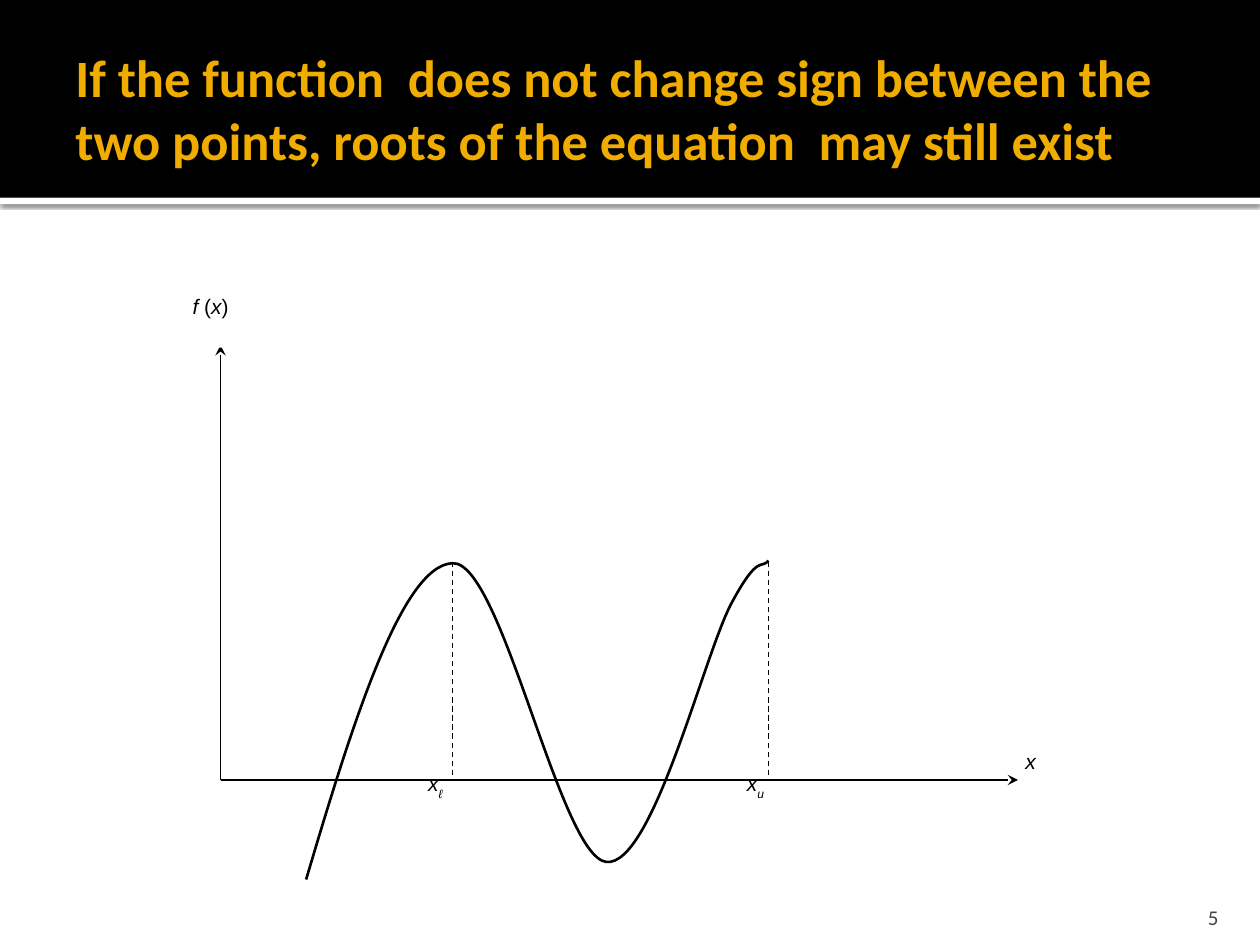
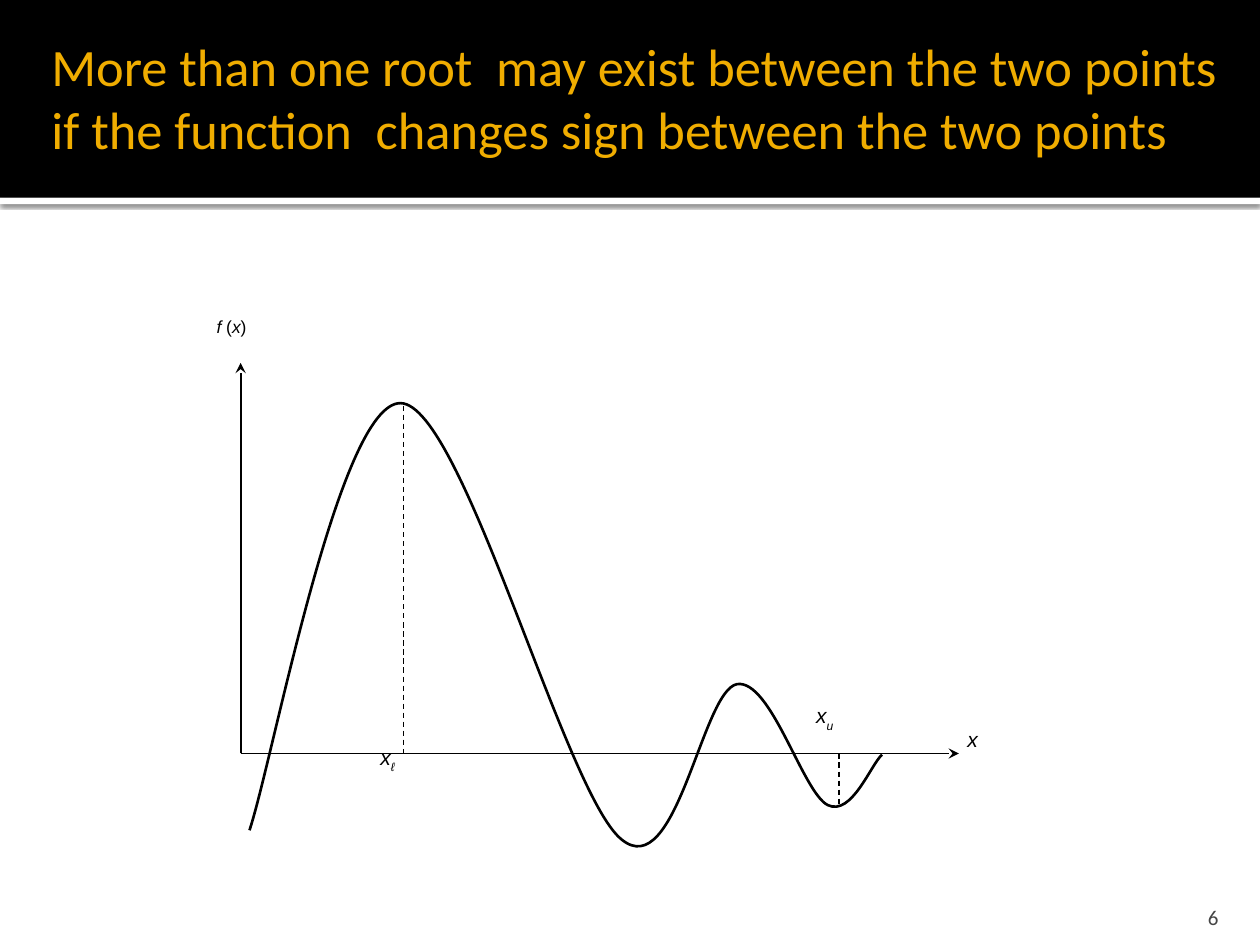
from lxml import etree
from pptx import Presentation
from pptx.dml.color import RGBColor
from pptx.enum.dml import MSO_LINE
from pptx.enum.shapes import MSO_CONNECTOR, MSO_SHAPE
from pptx.enum.text import MSO_ANCHOR, PP_ALIGN
from pptx.oxml.ns import qn
from pptx.util import Inches, Pt

STRAIGHT = MSO_CONNECTOR.STRAIGHT
RECTANGLE = MSO_SHAPE.RECTANGLE
DASH = MSO_LINE.DASH
TOP, MIDDLE, BOTTOM = MSO_ANCHOR.TOP, MSO_ANCHOR.MIDDLE, MSO_ANCHOR.BOTTOM
LEFT, RIGHT, JUSTIFY = PP_ALIGN.LEFT, PP_ALIGN.RIGHT, PP_ALIGN.JUSTIFY

COLORS = {"black": "000000", "white": "FFFFFF", "title": "F0AD00", "number": "454545"}
TEXT_FONT, GRAPH_FONT = "Calibri", "Arial"
INSETS = (0.1, 0.05, 0.1, 0.05)

FUNCTION = [("f ", "i"), ("(", ""), ("x", "i"), (")", "")]
LOWER = [("x", "i"), ("ℓ", "i sub")]
UPPER = [("x", "i"), ("u", "i sub")]
AXIS = [("x", "i")]

SLIDES = [
    {
        "number": "5",
        "title": "If the function  does not change sign between the two points, "
                 "roots of the equation  may still exist",
        "title_at": (0.5, 0.17, 9, 1.37),
        "title_style": "b",
        "title_anchor": MIDDLE,
        "title_insets": (0.1, 0.05, 0.05, 0.05),
        "origin": (1.75, 6.19),
        "axis_ends": (8.08, 2.74),
        "axis_weight": 0.75,
        "bounds": [(3.59, 4.46), (6.1, 4.46)],
        "curve": [(2.43, 6.98),
                  (2.8, 5.73), (3.19, 4.49), (3.59, 4.47),
                  (3.98, 4.44), (4.44, 6.79), (4.81, 6.84),
                  (5.18, 6.89), (5.59, 5.18), (5.81, 4.78),
                  (6.02, 4.39), (6.04, 4.52), (6.1, 4.45)],
        "function_at": (1.43, 2.28, 0.88, 0.48),
        "function_size": 12,
        "function_fill": "white",
        "label_size": (0.78, 0.6),
        "labels": [(LOWER, 3.3, 6.07), (UPPER, 5.83, 6.07), (AXIS, 8.04, 5.89)],
    },
    {
        "number": "6",
        "title": "More than one root  may exist between the two points "
                 "if the function  changes sign between the two points",
        "title_at": (0.31, 0.22, 9.53, 1.11),
        "title_style": "",
        "title_anchor": TOP,
        "title_insets": INSETS,
        "origin": (1.91, 5.98),
        "axis_ends": (7.61, 2.88),
        "axis_weight": 1,
        "bounds": [(3.2, 3.22), (6.66, 6.4)],
        "curve": [(1.98, 6.59),
                  (2.17, 6.02), (2.69, 3.19), (3.18, 3.2),
                  (3.67, 3.21), (4.48, 6.29), (4.93, 6.66),
                  (5.37, 7.03), (5.57, 5.48), (5.85, 5.43),
                  (6.12, 5.39), (6.37, 6.29), (6.57, 6.39),
                  (6.76, 6.48), (6.91, 6.07), (7, 5.99)],
        "function_at": (1.62, 2.46, 0.72, 0.46),
        "function_size": 10,
        "function_fill": None,
        "label_size": (0.7, 0.54),
        "labels": [(LOWER, 2.92, 5.86), (UPPER, 6.38, 5.53), (AXIS, 7.58, 5.72)],
    },
]


def color(name):
    return RGBColor.from_string(COLORS[name])


def inches(values):
    return [Inches(value) for value in values]


def add_text(shapes, at, spans, size, font, ink="black", align=LEFT,
             anchor=TOP, insets=INSETS, wrap=True):
    box = shapes.add_textbox(*inches(at))
    frame = box.text_frame
    frame.word_wrap = wrap
    frame.vertical_anchor = anchor
    (frame.margin_left, frame.margin_top,
     frame.margin_right, frame.margin_bottom) = inches(insets)
    para = frame.paragraphs[0]
    para.alignment = align
    for text, style in spans:
        span = para.add_run()
        span.text = text
        span.font.name = font
        span.font.size = Pt(size)
        span.font.color.rgb = color(ink)
        span.font.bold = "b" in style.split()
        span.font.italic = "i" in style.split()
        if "sub" in style:
            span.font._element.set("baseline", "-30000")
    return box


def add_band(page, top, height, fill):
    band = page.shapes.add_shape(RECTANGLE, *inches((0, top, 10, height)))
    band.shadow.inherit = False
    band.fill.solid()
    band.fill.fore_color.rgb = color(fill)
    band.line.fill.background()
    return band


def add_header(page):
    stripe = add_band(page, 1.57, 0.05, "white")
    effects = stripe._element.spPr.find(qn("a:effectLst"))
    shadow = etree.SubElement(effects, qn("a:outerShdw"), blurRad=str(Pt(2.5)),
                              dist=str(Pt(0.8)), dir="5400000", rotWithShape="0")
    tint = etree.SubElement(shadow, qn("a:srgbClr"), val=COLORS["black"])
    etree.SubElement(tint, qn("a:alpha"), val="60000")
    add_band(page, 0, 1.57, "black")


def add_line(shapes, start, end, weight, dashed=False, arrow=False):
    line = shapes.add_connector(STRAIGHT, *inches(start + end))
    line.line.color.rgb = color("black")
    line.line.width = Pt(weight)
    if dashed:
        line.line.dash_style = DASH
    if arrow:
        etree.SubElement(line.line._get_or_add_ln(), qn("a:tailEnd"), type="stealth")
    etree.SubElement(line._element.spPr, qn("a:effectLst"))


def add_curve(shapes, points):
    start, *others = [inches(point) for point in points]
    builder = shapes.build_freeform(*start)
    builder.add_line_segments(others, close=False)
    curve = builder.convert_to_shape()
    curve.shadow.inherit = False
    curve.fill.background()
    curve.line.color.rgb = color("black")
    curve.line.width = Pt(1.5)
    steps = list(curve._element.iter(qn("a:lnTo")))
    for first in range(0, len(steps), 3):
        bend = etree.Element(qn("a:cubicBezTo"))
        steps[first].addprevious(bend)
        for step in steps[first:first + 3]:
            bend.append(step[0])
            step.getparent().remove(step)


def add_graph(page, content):
    shapes = page.shapes.add_group_shape().shapes
    left, base = content["origin"]
    right, top = content["axis_ends"]
    for end in ((left, top), (right, base)):
        add_line(shapes, (left, base), end, content["axis_weight"], arrow=True)
    for x, y in content["bounds"]:
        add_line(shapes, (x, min(y, base)), (x, max(y, base)), 0.75, dashed=True)
    function = add_text(shapes, content["function_at"], FUNCTION,
                        content["function_size"], GRAPH_FONT, align=JUSTIFY, wrap=False)
    if content["function_fill"]:
        function.fill.solid()
        function.fill.fore_color.rgb = color(content["function_fill"])
    for spans, x, y in content["labels"]:
        add_text(shapes, (x, y) + content["label_size"], spans, 12, GRAPH_FONT,
                 align=JUSTIFY)
    add_curve(shapes, content["curve"])


def main():
    deck = Presentation()
    deck.slide_width, deck.slide_height = inches((10, 7.5))
    for content in SLIDES:
        page = deck.slides.add_slide(deck.slide_layouts[6])
        add_header(page)
        add_text(page.shapes, content["title_at"],
                 [(content["title"], content["title_style"])], 30, TEXT_FONT, "title",
                 anchor=content["title_anchor"], insets=content["title_insets"])
        add_graph(page, content)
        add_text(page.shapes, (8.97, 7.08, 0.8, 0.3), [(content["number"], "")], 12,
                 TEXT_FONT, "number", RIGHT, BOTTOM, (0.1, 0.05, 0.1, 0))
    deck.save("out.pptx")


if __name__ == "__main__":
    main()
